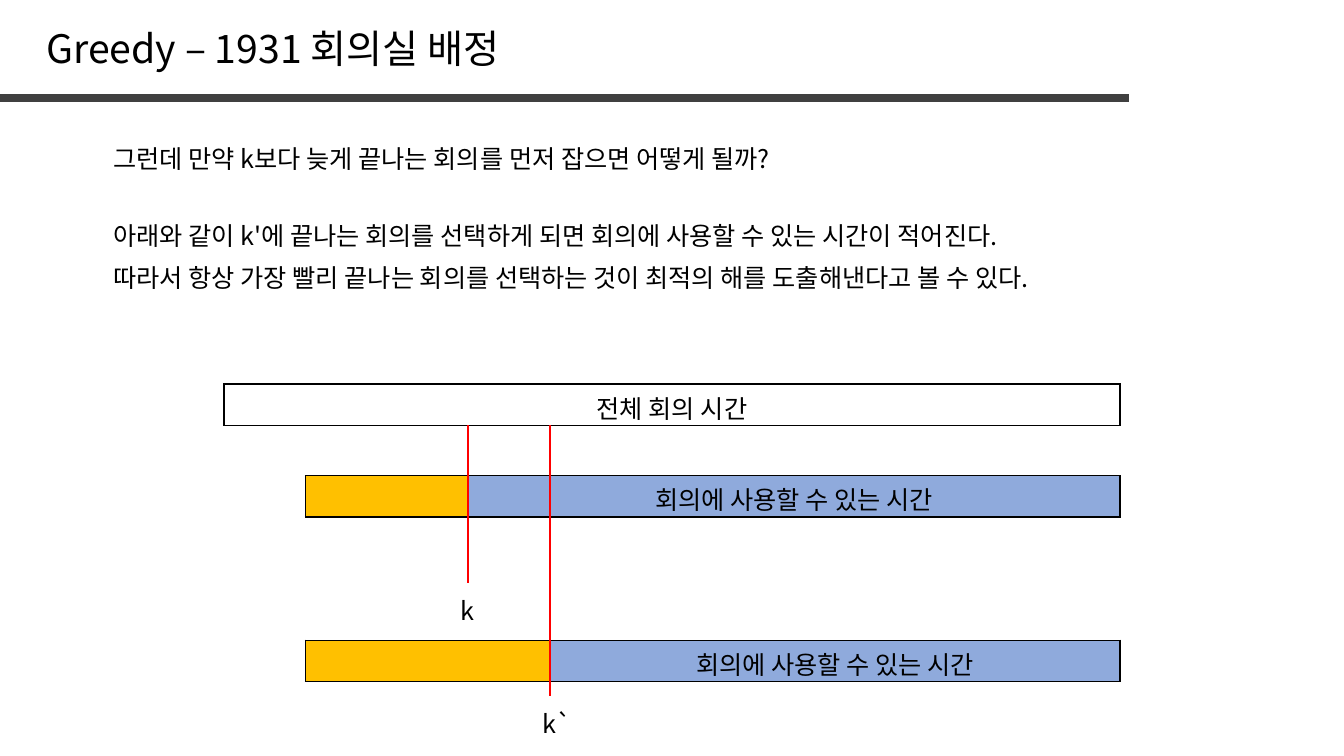
from lxml import etree
from pptx import Presentation
from pptx.dml.color import RGBColor
from pptx.enum.shapes import MSO_CONNECTOR
from pptx.enum.text import MSO_AUTO_SIZE, PP_ALIGN
from pptx.oxml.ns import qn
from pptx.util import Inches, Pt

STRAIGHT = MSO_CONNECTOR.STRAIGHT
GROW = MSO_AUTO_SIZE.SHAPE_TO_FIT_TEXT
LEFT, CENTER = PP_ALIGN.LEFT, PP_ALIGN.CENTER

WIDE, HIGH = Inches(13.33), Inches(7.5)
COL, ROW = WIDE / 16.5, Inches(0.41)
FONT = "Noto Sans CJK KR"
BLACK, GRAY, RED = "000000", "404040", "FF0000"
GOLD, BLUE = "FFC000", "8FAADC"


def color(code):
    return RGBColor.from_string(code)


def cols(count):
    return round(count * COL)


def rows(count):
    return round(count * ROW)


class Page:
    def __init__(self, slide):
        self.shapes = slide.shapes

    def label(self, para, words, size, align):
        para.text = words
        para.alignment = align
        font = para.font
        font.name, font.size = FONT, Pt(size)
        font.color.rgb = color(BLACK)
        props = para._p.pPr.find(qn("a:defRPr"))
        latin = props.find(qn("a:latin"))
        east = etree.Element(qn("a:ea"), typeface=FONT)
        latin.addnext(east)

    def text(self, x, y, wide, words, size=18, align=LEFT, high=1, wrap=True):
        box = self.shapes.add_textbox(cols(x), rows(y), cols(wide), rows(high))
        frame = box.text_frame
        frame.word_wrap = wrap
        frame.auto_size = GROW
        self.label(frame.paragraphs[0], words, size, align)

    def line(self, start, end, code, width):
        (x1, y1), (x2, y2) = start, end
        line = self.shapes.add_connector(
            STRAIGHT, cols(x1), rows(y1), cols(x2), rows(y2))
        line.line.color.rgb = color(code)
        line.line.width = Pt(width)
        etree.SubElement(line._element.spPr, qn("a:effectLst"))

    def frame(self, cell):
        """Draw a thin black border on all four sides of a cell."""
        props = cell._tc.get_or_add_tcPr()
        for spot, side in enumerate(("lnL", "lnR", "lnT", "lnB")):
            edge = etree.Element(qn("a:" + side), w=str(Pt(1)))
            fill = etree.SubElement(edge, qn("a:solidFill"))
            etree.SubElement(fill, qn("a:srgbClr"), val=BLACK)
            props.insert(spot, edge)

    def bar(self, x, y, parts):
        """Draw a one-row table from (columns, fill, words) parts."""
        total = sum(part[0] for part in parts)
        table = self.shapes.add_table(
            1, len(parts), cols(x), rows(y), cols(total), rows(1)).table
        table.first_row = table.horz_banding = False
        for spot, (wide, code, words) in enumerate(parts):
            table.columns[spot].width = cols(wide)
            cell = table.cell(0, spot)
            if code:
                cell.fill.solid()
                cell.fill.fore_color.rgb = color(code)
            else:
                cell.fill.background()
            self.frame(cell)
            self.label(cell.text_frame.paragraphs[0], words, 18, CENTER)


def main():
    deck = Presentation()
    deck.slide_width, deck.slide_height = WIDE, HIGH
    page = Page(deck.slides.add_slide(deck.slide_layouts[6]))

    page.line((0, 2.37), (13.86, 2.37), GRAY, 6)
    page.text(0.45, 0.46, 5.96, "Greedy – 1931 회의실 배정", 28,
              high=1.39, wrap=False)
    for y, words in (
        (3.34, "그런데 만약 k보다 늦게 끝나는 회의를 먼저 잡으면 어떻게 될까?"),
        (5.22, "아래와 같이 k'에 끝나는 회의를 선택하게 되면 회의에 사용할 수 있는 시간이 적어진다."),
        (6.22, "따라서 항상 가장 빨리 끝나는 회의를 선택하는 것이 최적의 해를 도출해낸다고 볼 수 있다."),
    ):
        page.text(1.27, y, 13.86, words)

    first, start, span, top = 2.75, 3.75, 10, 9.29
    page.bar(first, top, [(span + 1, None, "전체 회의 시간")])
    for used, y, low, left, name in (
        (2, 11.51, 14.1, 5.32, "k"),
        (3, 15.49, 16.83, 6.41, "k`"),
    ):
        page.bar(start, y, [(used, GOLD, ""),
                            (span - used, BLUE, "회의에 사용할 수 있는 시간")])
        end = start + used
        page.line((end, top + 1), (end, low), RED, 1.5)
        page.text(left, low + 0.19, 0.85, name, align=CENTER)

    deck.save("out.pptx")


if __name__ == "__main__":
    main()
